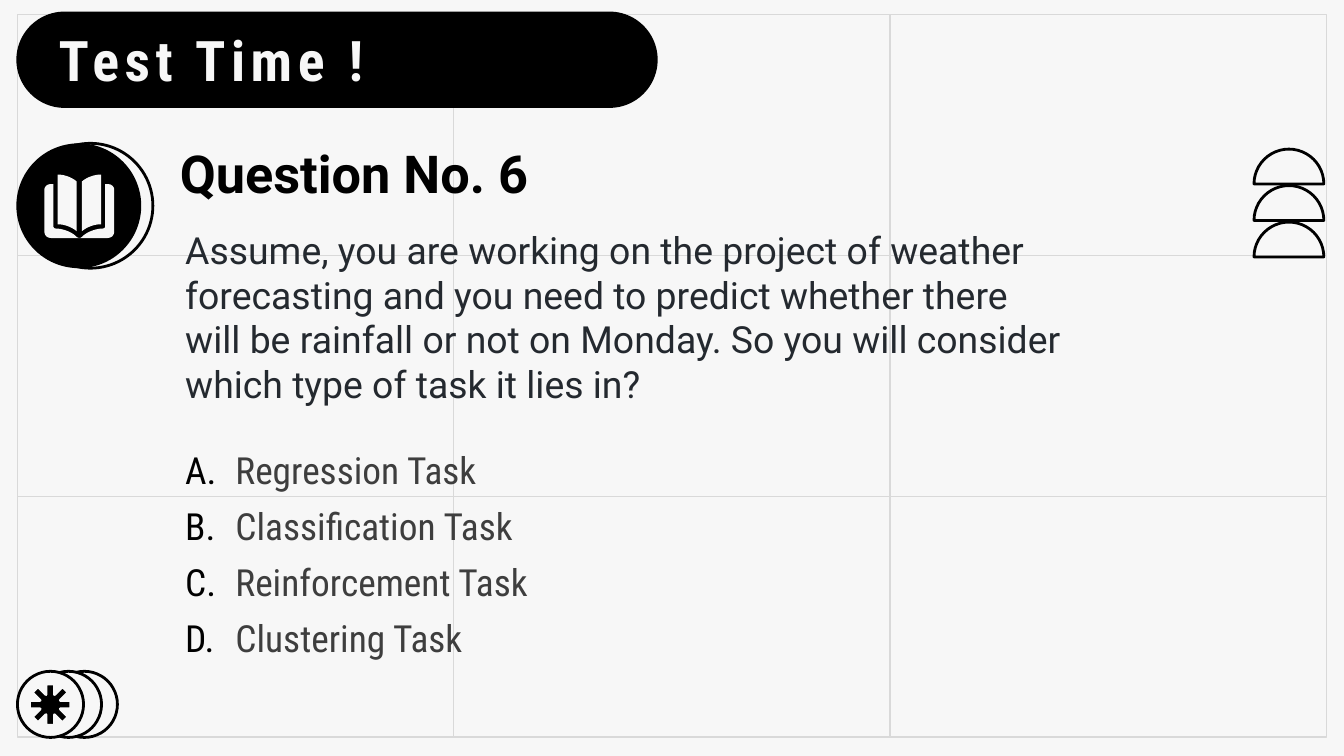
from dataclasses import dataclass
from typing import Optional

from lxml import etree
from pptx import Presentation
from pptx.dml.color import RGBColor
from pptx.enum.shapes import MSO_CONNECTOR, MSO_SHAPE
from pptx.enum.text import MSO_ANCHOR, MSO_AUTO_SIZE, PP_ALIGN
from pptx.oxml.ns import qn
from pptx.util import Cm, Pt

RECT = MSO_SHAPE.RECTANGLE
ROUND = MSO_SHAPE.ROUNDED_RECTANGLE
OVAL = MSO_SHAPE.OVAL
PIE = MSO_SHAPE.PIE
STRAIGHT = MSO_CONNECTOR.STRAIGHT
TOP, MIDDLE = MSO_ANCHOR.TOP, MSO_ANCHOR.MIDDLE
FIXED = MSO_AUTO_SIZE.NONE
LEFT = PP_ALIGN.LEFT

PAPER, BLACK, GRID = "F7F7F7", "000000", "D9D9D9"
SANS, NARROW = "Roboto", "Roboto Condensed"


@dataclass
class Shape:
    kind: int
    x: float
    y: float
    w: float
    h: float
    fill: Optional[str] = PAPER
    line: Optional[str] = BLACK
    weight: float = 1.5
    adjust: tuple = ()


@dataclass
class Text:
    slot: int
    x: float
    y: float
    w: float
    h: float
    lines: list
    font: str
    size: float
    color: str
    bold: bool = False
    anchor: int = TOP
    inset: float = 0.25
    after: float = 0
    space: int = 0
    letters: bool = False


def rgb(color: str) -> RGBColor:
    return RGBColor.from_string(color)


def paint(shape, fill: Optional[str], line: Optional[str], weight: float) -> None:
    shape.shadow.inherit = False
    if fill:
        shape.fill.solid()
        shape.fill.fore_color.rgb = rgb(fill)
    else:
        shape.fill.background()
    if line:
        shape.line.color.rgb = rgb(line)
        shape.line.width = Pt(weight)
    else:
        shape.line.fill.background()


def draw(slide, item: Shape) -> None:
    shape = slide.shapes.add_shape(
        item.kind, Cm(item.x), Cm(item.y), Cm(item.w), Cm(item.h))
    for i, value in enumerate(item.adjust):
        shape.adjustments[i] = value
    paint(shape, item.fill, item.line, item.weight)


def rule(slide, x1: float, y1: float, x2: float, y2: float) -> None:
    line = slide.shapes.add_connector(STRAIGHT, Cm(x1), Cm(y1), Cm(x2), Cm(y2))
    line.line.color.rgb = rgb(GRID)
    line.line.width = Pt(0.75)
    etree.SubElement(line._element.spPr, qn("a:effectLst"))


def trace(path: list, steps: int = 8) -> list:
    points = []
    for part in path:
        if len(part) == 2:
            points.append(part)
            continue
        ends = [points[-1], part[:2], part[2:4], part[4:]]
        for i in range(1, steps + 1):
            t = i / steps
            u = 1 - t
            mix = (u ** 3, 3 * u * u * t, 3 * u * t * t, t ** 3)
            points.append(tuple(
                sum(m * end[axis] for m, end in zip(mix, ends)) for axis in (0, 1)))
    return points


def outline(slide, points: list, fill: str, line: Optional[str] = None) -> None:
    spots = [(Cm(x), Cm(y)) for x, y in points]
    builder = slide.shapes.build_freeform(*spots[0])
    builder.add_line_segments(spots[1:], close=True)
    paint(builder.convert_to_shape(), fill, line, 1.5)


def number(props, font: str) -> None:
    color = etree.SubElement(props, qn("a:buClr"))
    etree.SubElement(color, qn("a:srgbClr"), val=BLACK)
    etree.SubElement(props, qn("a:buFont"), typeface=font)
    etree.SubElement(props, qn("a:buAutoNum"), type="alphaUcPeriod")


def write(slide, item: Text) -> None:
    shape = slide.placeholders[item.slot]
    shape._element.getparent().append(shape._element)
    shape.left, shape.top = Cm(item.x), Cm(item.y)
    shape.width, shape.height = Cm(item.w), Cm(item.h)
    frame = shape.text_frame
    frame.text = "\n".join(item.lines)
    frame.word_wrap = True
    frame.auto_size = FIXED
    frame.vertical_anchor = item.anchor
    frame.margin_left = frame.margin_right = Cm(0.25)
    frame.margin_top = frame.margin_bottom = Cm(item.inset)
    for par in frame.paragraphs:
        par.alignment = LEFT
        par.line_spacing = 1.0
        par.space_before = Pt(0)
        par.space_after = Pt(item.after)
        props = par._p.get_or_add_pPr()
        indent = Cm(0.95) if item.letters else 0
        props.set("marL", str(indent))
        props.set("indent", str(-indent))
        if item.letters:
            number(props, item.font)
        else:
            etree.SubElement(props, qn("a:buNone"))
        for run in par.runs:
            run.font.name = item.font
            run.font.size = Pt(item.size)
            run.font.bold = item.bold
            run.font.color.rgb = rgb(item.color)
            if item.space:
                run.font._element.set("spc", str(item.space))


def grid(slide, x: float, y: float, w: float, h: float) -> None:
    draw(slide, Shape(RECT, x, y, w, h, PAPER, GRID, 0.75))
    for i in (1, 2):
        rule(slide, x + w * i / 3, y, x + w * i / 3, y + h)
    for i in (1, 2):
        rule(slide, x, y + h * i / 3, x + w, y + h * i / 3)


def star(slide, x: float, y: float) -> None:
    arm = [(-0.39, -0.08), (-0.39, 0.08), (-0.19, 0.08),
           (-0.34, 0.23), (-0.23, 0.34), (-0.08, 0.19)]
    points = []
    for _ in range(4):
        points += [(x + a, y + b) for a, b in arm]
        arm = [(b, -a) for a, b in arm]
    outline(slide, points, BLACK, PAPER)


def book(slide, spine: float) -> None:
    page = [(-0.41, 3.3), (-0.41, 4.24),
            (-0.28, 4.24, -0.15, 4.29, -0.05, 4.37), (-0.05, 3.43),
            (-0.15, 3.35, -0.28, 3.3, -0.41, 3.3)]
    cover = [(-0.53, 3.48), (-0.61, 3.48, -0.66, 3.53, -0.66, 3.59),
             (-0.66, 4.37), (-0.66, 4.45, -0.61, 4.5, -0.53, 4.5), (0, 4.5),
             (-0.03, 4.5, -0.05, 4.48, -0.08, 4.45),
             (-0.18, 4.37, -0.33, 4.32, -0.45, 4.32),
             (-0.47, 4.32, -0.49, 4.3, -0.49, 4.28), (-0.49, 3.48)]
    for path in (cover, page):
        for side in (1, -1):
            outline(slide, [(spine + side * x, y) for x, y in trace(path)], PAPER)


def main() -> None:
    deck = Presentation()
    deck.slide_width, deck.slide_height = Cm(25.4), Cm(14.29)
    slide = deck.slides.add_slide(deck.slide_layouts[4])
    slide.background.fill.solid()
    slide.background.fill.fore_color.rgb = rgb(PAPER)

    grid(slide, 0.33, 0.28, 24.74, 13.65)
    for i in range(3):
        draw(slide, Shape(PIE, 23.7, 2.82 + 0.69 * i, 1.32, 1.32, None,
                          adjust=(108.11, 215.89)))
    for x in (0.97, 0.67, 0.33):
        draw(slide, Shape(OVAL, x, 12.69, 1.25, 1.25))
    star(slide, 0.95, 13.32)
    draw(slide, Shape(ROUND, 0.31, 0.22, 12.12, 1.82, BLACK, None, adjust=(0.5,)))
    draw(slide, Shape(OVAL, 0.53, 2.71, 2.36, 2.36))
    draw(slide, Shape(OVAL, 0.31, 2.71, 2.36, 2.36, BLACK, None))
    book(slide, 1.5)

    texts = [
        Text(0, 0.86, 0.23, 10.72, 1.8, ["Test Time !"], NARROW, 30, PAPER,
             bold=True, space=300),
        Text(1, 3.15, 2.72, 9.68, 1.09, ["Question No. 6"], SANS, 28, BLACK,
             bold=True, anchor=MIDDLE),
        Text(2, 3.25, 4.04, 17.09, 3.99,
             ["Assume, you are working on the project of weather forecasting "
              "and you need to predict whether there will be rainfall or not on "
              "Monday. So you will consider which type of task it lies in?"],
             SANS, 20, "24292F"),
        Text(4, 3.25, 8.33, 14.27, 4.32,
             ["Regression Task", "Classification Task",
              "Reinforcement Task", "Clustering Task"],
             NARROW, 20, "3E3E3E", inset=0.13, after=6, letters=True),
    ]
    for item in texts:
        write(slide, item)
    spare = slide.placeholders[3]._element
    spare.getparent().remove(spare)
    deck.save("out.pptx")


if __name__ == "__main__":
    main()
